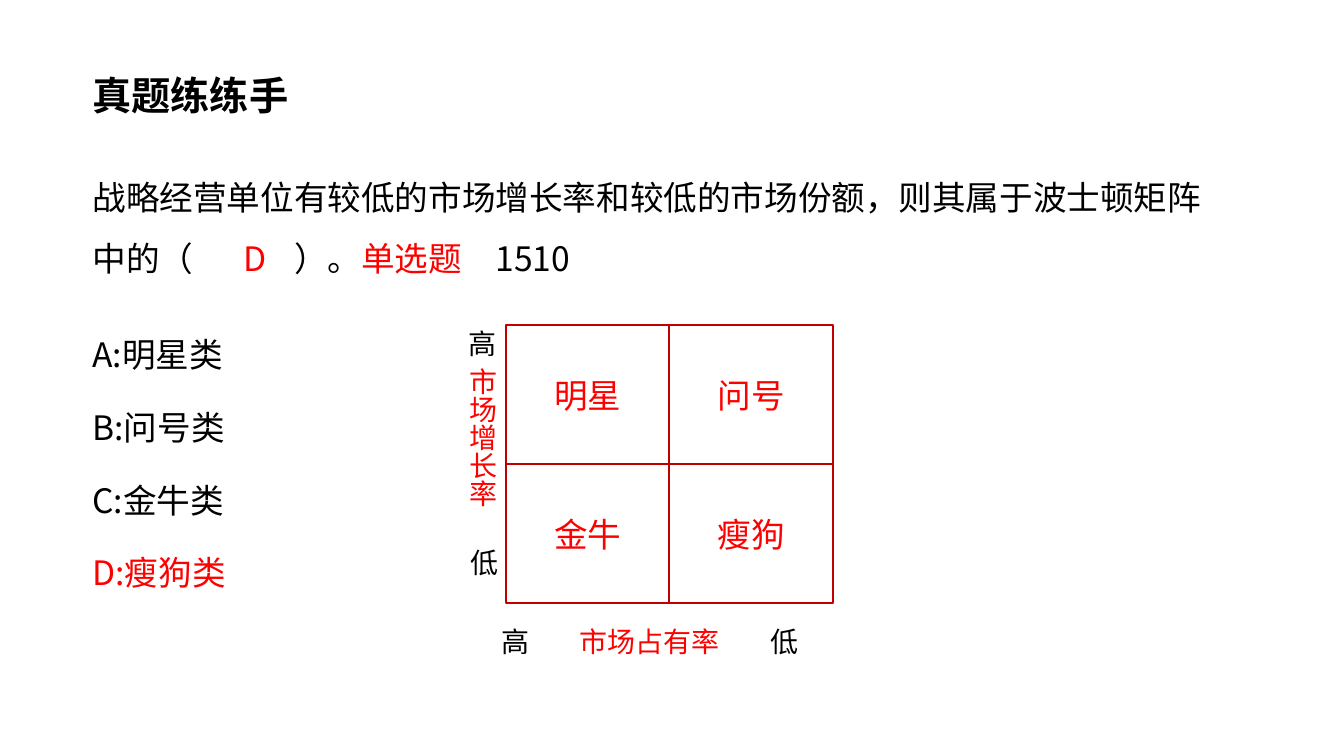
from dataclasses import dataclass

from lxml import etree
from pptx import Presentation
from pptx import util as u
from pptx.dml.color import RGBColor
from pptx.enum import shapes, text
from pptx.oxml.ns import qn

SC = "Noto Sans CJK SC"
JP = "Noto Sans CJK JP"
BLACK = "000000"
RED = "FF0000"
BORDER = "C00000"
CELL_W, CELL_H = 4.12, 3.5
GRID_X, GRID_Y = 12.75, 8.2


@dataclass
class AxisLabel:
    text: str
    x: float
    y: float
    w: float = 1.2
    h: float = 1.2
    color: str = BLACK
    vertical: bool = False


MATRIX = [["明星", "问号"], ["金牛", "瘦狗"]]
AXIS_LABELS = [
    AxisLabel("高", 12.15, 8.66),
    AxisLabel("市场增长率", 12.15, 11.47, h=4.4, color=RED, vertical=True),
    AxisLabel("低", 12.2, 14.18),
    AxisLabel("高", 12.98, 16.17),
    AxisLabel("市场占有率", 16.38, 16.17, w=4.4, color=RED),
    AxisLabel("低", 19.76, 16.17),
]
QUESTION = [
    ("战略经营单位有较低的市场增长率和较低的市场份额，则其属于波士顿矩阵中的（\t", BLACK),
    ("D", RED),
    ("\t）。", BLACK),
    ("单选题", RED),
    ("\t1510", BLACK),
]
QUESTION_TABS = [3.08, 4.51, 9.26]
OPTIONS = [("A:明星类", BLACK), ("B:问号类", BLACK), ("C:金牛类", BLACK), ("D:瘦狗类", RED)]


def rgb(color: str) -> RGBColor:
    return RGBColor.from_string(color)


def style(p, size: float, face: str, color: str = BLACK, bold: bool = False) -> None:
    p.font.size = u.Pt(size)
    p.font.bold = bold
    p.font.color.rgb = rgb(color)
    p.font.name = face
    props = p._p.get_or_add_pPr().find(qn("a:defRPr"))
    etree.SubElement(props, qn("a:ea")).set("typeface", face)


def place(sp, x: float, y: float, w: float, h: float) -> None:
    sp.left, sp.top, sp.width, sp.height = (u.Cm(v) for v in (x, y, w, h))


def frame(sp, dx: float, dy: float, anchor) -> text:
    tf = sp.text_frame
    tf.word_wrap = True
    tf.auto_size = text.MSO_AUTO_SIZE.NONE
    tf.vertical_anchor = anchor
    tf.margin_left = tf.margin_right = u.Cm(dx)
    tf.margin_top = tf.margin_bottom = u.Cm(dy)
    return tf


def body_paragraph(p, before: float, tabs=()) -> None:
    p.line_spacing = u.Pt(43.6)
    p.space_before = u.Pt(before)
    p.space_after = u.Pt(0)
    props = p._p.get_or_add_pPr()
    props.set("marL", "0")
    props.set("indent", "0")
    etree.SubElement(props, qn("a:buNone"))
    if tabs:
        stops = etree.SubElement(props, qn("a:tabLst"))
        for pos in tabs:
            etree.SubElement(stops, qn("a:tab"), pos=str(int(u.Cm(pos))), algn="l")


def add_title(s) -> None:
    sp = s.shapes.title
    place(sp, 2.03, 1.65, 24.51, 1.5)
    p = frame(sp, 0.3, 0.15, text.MSO_ANCHOR.MIDDLE).paragraphs[0]
    p.text = "真题练练手"
    p.alignment = text.PP_ALIGN.LEFT
    style(p, 28, SC, bold=True)


def add_body(s) -> None:
    sp = s.placeholders[1]
    place(sp, 2.03, 3.78, 29.08, 14)
    tf = frame(sp, 0.3, 0.15, text.MSO_ANCHOR.TOP)
    p = tf.paragraphs[0]
    body_paragraph(p, 0, QUESTION_TABS)
    style(p, 24, SC)
    for words, color in QUESTION:
        r = p.add_run()
        r.text = words
        r.font.color.rgb = rgb(color)
    for i, (words, color) in enumerate(OPTIONS):
        p = tf.add_paragraph()
        p.text = words
        body_paragraph(p, 8.3 if i else 25.3)
        style(p, 24, SC, color)


def add_cell(s, words: str, row: int, col: int) -> None:
    sp = s.shapes.add_shape(shapes.MSO_SHAPE.RECTANGLE, 0, 0, 0, 0)
    place(sp, GRID_X + col * CELL_W, GRID_Y + row * CELL_H, CELL_W, CELL_H)
    sp.shadow.inherit = False
    sp.fill.background()
    sp.line.color.rgb = rgb(BORDER)
    sp.line.width = u.Pt(1.5)
    p = frame(sp, 0.25, 0.13, text.MSO_ANCHOR.MIDDLE).paragraphs[0]
    p.text = words
    p.alignment = text.PP_ALIGN.CENTER
    style(p, 24, JP, RED)


def add_axis_label(s, label: AxisLabel) -> None:
    sp = s.shapes.add_textbox(0, 0, 0, 0)
    place(sp, label.x - label.w / 2, label.y - label.h / 2, label.w, label.h)
    tf = frame(sp, 0, 0, text.MSO_ANCHOR.MIDDLE)
    if label.vertical:
        tf._txBody.find(qn("a:bodyPr")).set("vert", "eaVert")
    p = tf.paragraphs[0]
    p.text = label.text
    p.alignment = text.PP_ALIGN.CENTER
    style(p, 20, JP, label.color)


def main() -> None:
    prs = Presentation()
    prs.slide_width, prs.slide_height = u.Cm(33.87), u.Cm(19.05)
    s = prs.slides.add_slide(prs.slide_layouts[1])
    add_title(s)
    add_body(s)
    for row, names in enumerate(MATRIX):
        for col, name in enumerate(names):
            add_cell(s, name, row, col)
    for label in AXIS_LABELS:
        add_axis_label(s, label)
    prs.save("out.pptx")


if __name__ == "__main__":
    main()
